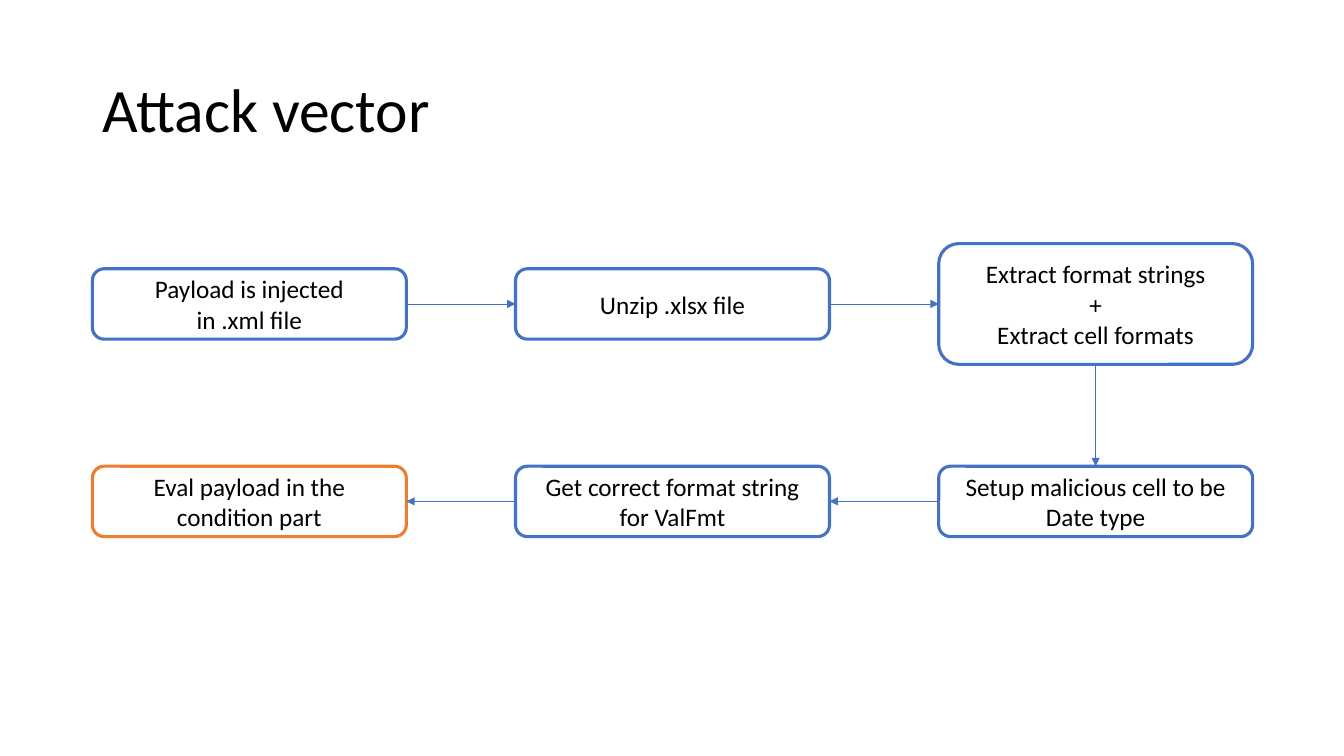
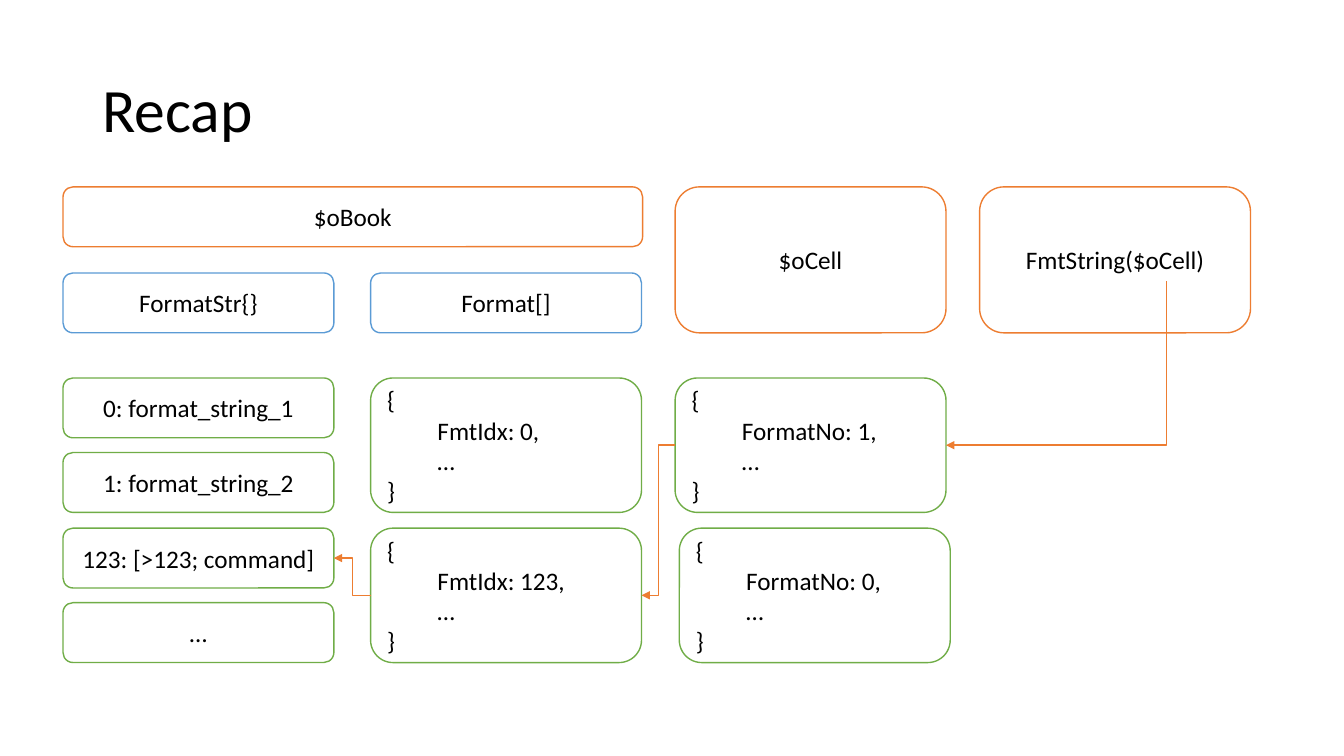
from lxml import etree
from pptx import Presentation
from pptx import util as u
from pptx.dml.color import RGBColor
from pptx.enum import shapes, text
from pptx.oxml.ns import qn

PX = 9525
FONT = "Calibri"
COLORS = {
    "text": "000000",
    "white": "FFFFFF",
    "blue": "4472C4",
    "sky": "5B9BD5",
    "orange": "ED7D31",
    "green": "70AD47",
}
TOP, LEFT, BOTTOM, RIGHT = range(4)


def px(value):
    return u.Emu(value * PX)


def color(name):
    return RGBColor.from_string(COLORS[name])


def style_font(para, size):
    para.font.name = FONT
    para.font.size = u.Pt(size)
    para.font.color.rgb = color("text")


def add_page(deck, title):
    page = deck.slides.add_slide(deck.slide_layouts[6])
    box = page.shapes.add_textbox(px(88), px(38), px(1104), px(139))
    frame = box.text_frame
    frame.word_wrap = True
    frame.vertical_anchor = text.MSO_ANCHOR.MIDDLE
    para = frame.paragraphs[0]
    para.text = title
    para.line_spacing = 0.9
    style_font(para, 44)
    return page


def add_box(page, area, lines, line_color, width=1, fill=None,
            align=text.PP_ALIGN.CENTER):
    box = page.shapes.add_shape(
        shapes.MSO_SHAPE.ROUNDED_RECTANGLE, *map(px, area))
    box.shadow.inherit = False
    if fill:
        box.fill.solid()
        box.fill.fore_color.rgb = color(fill)
    else:
        box.fill.background()
    box.line.color.rgb = color(line_color)
    box.line.width = u.Pt(width)
    frame = box.text_frame
    frame.word_wrap = True
    frame.vertical_anchor = text.MSO_ANCHOR.MIDDLE
    for index, line in enumerate(lines):
        para = frame.paragraphs[0] if index == 0 else frame.add_paragraph()
        para.text = line
        para.alignment = align
        style_font(para, 18)
    return box


def add_record(page, left, top, field):
    box = add_box(page, (left, top, 258, 128), ["{", field, "…", "}"],
                  "green", align=text.PP_ALIGN.LEFT)
    for para in box.text_frame.paragraphs[1:3]:
        para.level = 1
        properties = para._p.get_or_add_pPr()
        properties.set("marL", str(px(48)))
        properties.set("indent", "0")
    return box


def add_arrow(page, kind, start, end, line_color, width):
    arrow = page.shapes.add_connector(kind, *map(px, start + end))
    arrow.line.color.rgb = color(line_color)
    arrow.line.width = u.Pt(width)
    etree.SubElement(arrow.line._get_or_add_ln(), qn("a:tailEnd"), type="triangle")
    etree.SubElement(arrow._element.spPr, qn("a:effectLst"))
    return arrow


def link_boxes(page, kind, source, source_side, target, target_side,
               line_color, width):
    arrow = add_arrow(page, kind, (0, 0), (0, 0), line_color, width)
    arrow.begin_connect(source, source_side)
    arrow.end_connect(target, target_side)


def build_attack_vector(deck):
    page = add_page(deck, "Attack vector")
    columns = [88 + 403 * index for index in range(3)]
    upper, lower = 256, 444
    steps = [
        (columns[0], upper, 67, ["Payload is injected", "in .xml file"]),
        (columns[1], upper, 67, ["Unzip .xlsx file"]),
        (columns[2], 232, 115,
         ["Extract format strings", "+", "Extract cell formats"]),
        (columns[2], lower, 67, ["Setup malicious cell to be Date type"]),
        (columns[1], lower, 67, ["Get correct format string for ValFmt"]),
    ]
    boxes = [add_box(page, (left, top, 299, height), lines, "blue", 2.25)
             for left, top, height, lines in steps]
    boxes.append(add_box(page, (columns[0], lower, 299, 67),
                         ["Eval payload in the condition part"],
                         "orange", 2.25, "white"))
    sides = [(RIGHT, LEFT)] * 2 + [(BOTTOM, TOP)] + [(LEFT, RIGHT)] * 2
    for source, target, (leave, enter) in zip(boxes, boxes[1:], sides):
        link_boxes(page, shapes.MSO_CONNECTOR.STRAIGHT, source, leave,
                   target, enter, "blue", 0.5)


def build_recap(deck):
    page = add_page(deck, "Recap")
    strings_x, formats_x, cells_x, function_x = 60, 353, 643, 933
    headers = [
        ((strings_x, 178, 552, 57), "$oBook", "orange"),
        ((strings_x, 260, 258, 57), "FormatStr{}", "sky"),
        ((formats_x, 260, 258, 57), "Format[]", "sky"),
        ((cells_x, 178, 258, 139), "$oCell", "orange"),
        ((function_x, 178, 258, 139), "FmtString($oCell)", "orange"),
    ]
    for area, label, line_color in headers:
        add_box(page, area, [label], line_color)

    labels = ["0: format_string_1", "1: format_string_2",
              "123: [>123; command]", "…"]
    row_tops = [360 + 143 * index // 2 for index in range(len(labels))]
    strings = [add_box(page, (strings_x, top, 258, 57), [label], "green")
               for top, label in zip(row_tops, labels)]

    first, second = row_tops[::2]
    add_record(page, formats_x, first, "FmtIdx: 0,")
    payload_format = add_record(page, formats_x, second, "FmtIdx: 123,")
    cell = add_record(page, cells_x, first, "FormatNo: 1,")
    add_record(page, cells_x + 4, second, "FormatNo: 0,")

    elbow = shapes.MSO_CONNECTOR.ELBOW
    call = add_arrow(page, elbow, (1111, 268), (cells_x + 258, first + 64),
                     "orange", 1)
    guides = call._element.spPr.find(qn("a:prstGeom")).get_or_add_avLst()
    etree.SubElement(guides, qn("a:gd"), name="adj1", fmla="val 100")
    link_boxes(page, elbow, cell, LEFT, payload_format, RIGHT, "orange", 1)
    link_boxes(page, elbow, payload_format, LEFT, strings[2], RIGHT, "orange", 1)


def main():
    deck = Presentation()
    deck.slide_width, deck.slide_height = px(1280), px(720)
    build_attack_vector(deck)
    build_recap(deck)
    deck.save("out.pptx")


if __name__ == "__main__":
    main()
